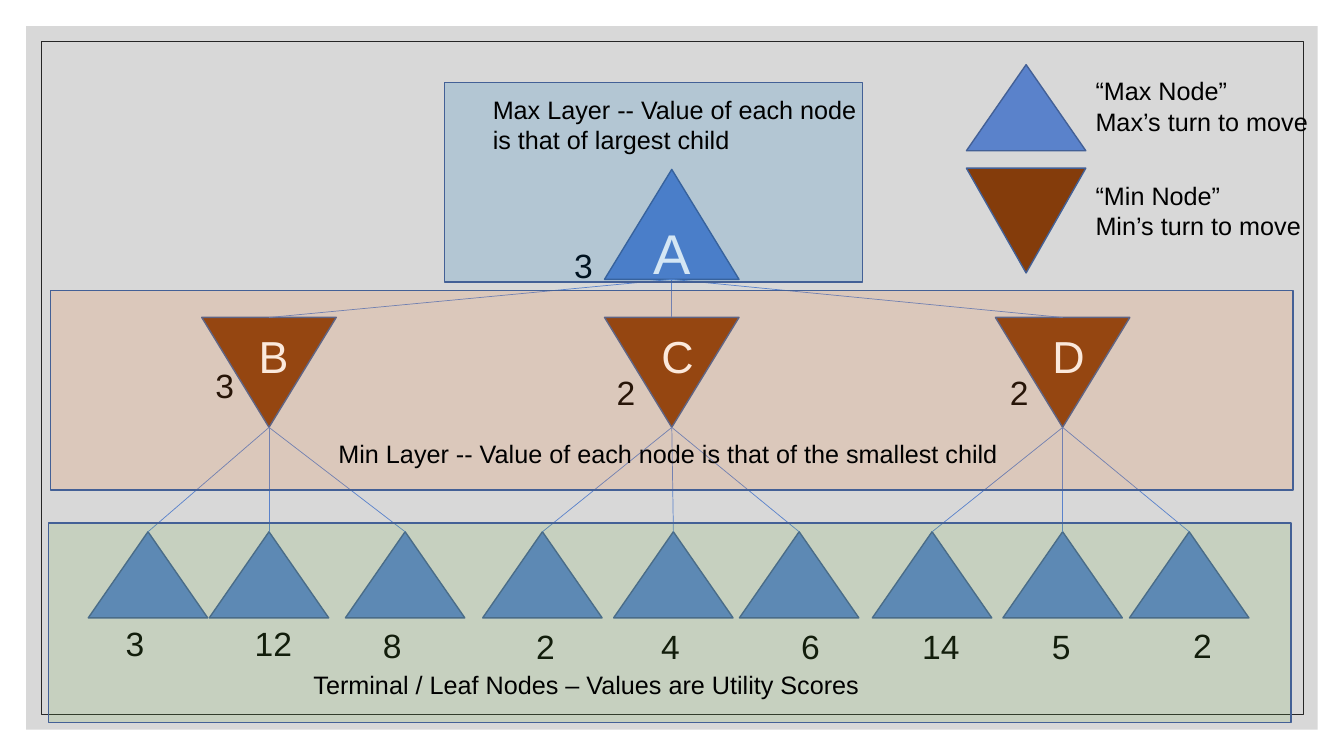
from pptx import Presentation
from pptx.util import Cm, Pt
from pptx.dml.color import RGBColor
from pptx.enum import shapes, text
from pptx.oxml.ns import qn
from lxml import etree

# Content: lengths in cm
BLUE, BROWN, EDGE = "5A82CB", "843C0B", "436096"
BLACK, WHITE = "000000", "FFFFFF"
NODE_W, NODE_H = 3.39, 2.77
LEAF_W, LEAF_H = 3.01, 2.17
MAX_TOP, MIN_TOP, LEAF_TOP = 4.27, 8.0, 13.4

ROOT = ("A", 16.93, ("3", 14.22, 6.05))
# name, centre, (value, left, top), leaves as (centre, score, left, top)
MIN_NODES = [
    ("B", 6.78, ("3", 5.18, 9.07),
     [(3.73, "3", 2.92, 15.57), (6.78, "12", 6.17, 15.57), (10.21, "8", 9.4, 15.62)]),
    ("C", 16.93, ("2", 15.29, 9.25),
     [(13.67, "2", 13.26, 15.65), (16.97, "4", 16.41, 15.65), (20.14, "6", 19.94, 15.65)]),
    ("D", 26.78, ("2", 25.2, 9.25),
     [(23.49, "14", 22.99, 15.65), (26.78, "5", 26.26, 15.65), (29.97, "2", 29.82, 15.62)]),
]
# triangle top, height, colour, points down, text top, lines
LEGEND = [
    (1.63, LEAF_H, BLUE, False, 1.78, "“Max Node”\nMax’s turn to move"),
    (4.24, 2.64, BROWN, True, 4.42, "“Min Node”\nMin’s turn to move"),
]
# colour, band left, top, width, then caption and its box
LAYERS = [
    ("70AD47", 1.22, 13.18, 31.32,
     "Terminal / Leaf Nodes – Values are Utility Scores", (7.65, 16.74, 15.21, 1.02)),
    ("ED7D31", 1.27, 7.32, 31.32,
     "Min Layer -- Value of each node is that of the smallest child", (8.28, 10.92, 18.36, 1.02)),
    ("0070C0", 11.2, 2.08, 10.54,
     "Max Layer -- Value of each node is that of largest child", (12.17, 2.24, 9.86, 1.8)),
]
LAYER_H = 5.03

prs = Presentation()
prs.slide_width, prs.slide_height = Cm(33.87), Cm(19.05)
slide = prs.slides.add_slide(prs.slide_layouts[6])


def rgb(color):
    return RGBColor.from_string(color)


def write(s, words, size, color, align=text.PP_ALIGN.LEFT):
    tf = s.text_frame
    tf.text = words
    for p in tf.paragraphs:
        p.alignment = align
        for r in p.runs:
            r.font.size, r.font.name = Pt(size), "Arial"
            r.font.color.rgb = rgb(color)


def label(words, left, top, width, height, size, color=BLACK):
    s = slide.shapes.add_textbox(Cm(left), Cm(top), Cm(width), Cm(height))
    s.text_frame.word_wrap = True
    write(s, words, size, color)


def value(words, left, top):
    label(words, left, top, 1.63, 1.28, 24)


def shape(kind, left, top, width, height, fill=None, line=EDGE, weight=1, alpha=None):
    s = slide.shapes.add_shape(kind, Cm(left), Cm(top), Cm(width), Cm(height))
    s.shadow.inherit = False
    if fill:
        s.fill.solid()
        s.fill.fore_color.rgb = rgb(fill)
    else:
        s.fill.background()
    if alpha:
        clr = s._element.spPr.find(qn("a:solidFill"))[0]
        etree.SubElement(clr, qn("a:alpha"), val=str(alpha * 1000))
    if line:
        s.line.color.rgb = rgb(line)
        s.line.width = Pt(weight)
    else:
        s.line.fill.background()
    return s


def rect(*box, **style):
    return shape(shapes.MSO_SHAPE.RECTANGLE, *box, **style)


def triangle(center, top, width, height, fill, down=False):
    s = shape(shapes.MSO_SHAPE.ISOSCELES_TRIANGLE, center - width / 2, top, width, height, fill)
    if down:
        s._element.spPr.xfrm.set("flipV", "1")
    return s


def branch(x1, y1, x2, y2):
    s = slide.shapes.add_connector(shapes.MSO_CONNECTOR.STRAIGHT, Cm(x1), Cm(y1), Cm(x2), Cm(y2))
    s.line.color.rgb = rgb(BLUE)
    s.line.width = Pt(0.5)
    etree.SubElement(s._element.spPr, qn("a:effectLst"))


# Backdrop and frame
rect(0.66, 0.66, 32.55, 17.73, fill="BFBFBF", line=None, alpha=60)
rect(1.04, 1.04, 31.8, 16.97, line="262626", weight=0.5)

# Game tree
name, root_x, root_value = ROOT
s = triangle(root_x, MAX_TOP, NODE_W, NODE_H, BLUE)
write(s, name, 40, WHITE, text.PP_ALIGN.CENTER)
value(*root_value)
for name, x, node_value, leaves in MIN_NODES:
    triangle(x, MIN_TOP, NODE_W, NODE_H, BROWN, down=True)
    label(name, x - 0.51, 8.15, 1.09, 1.63, 32, WHITE)
    value(*node_value)
    branch(root_x, MAX_TOP + NODE_H, x, MIN_TOP)
    for leaf_x, score, left, top in leaves:
        triangle(leaf_x, LEAF_TOP, LEAF_W, LEAF_H, BLUE)
        branch(x, MIN_TOP + NODE_H, leaf_x, LEAF_TOP)
        value(score, left, top)

# Legend
for top, height, color, down, text_top, words in LEGEND:
    triangle(25.86, top, LEAF_W, height, color, down)
    label(words, 27.36, text_top, 6.1, 1.8, 18)

# Tinted layers over the tree, with captions
for color, left, top, width, caption, box in LAYERS:
    rect(left, top, width, LAYER_H, fill=color, alpha=17)
    label(caption, *box, 18)

prs.save("out.pptx")
